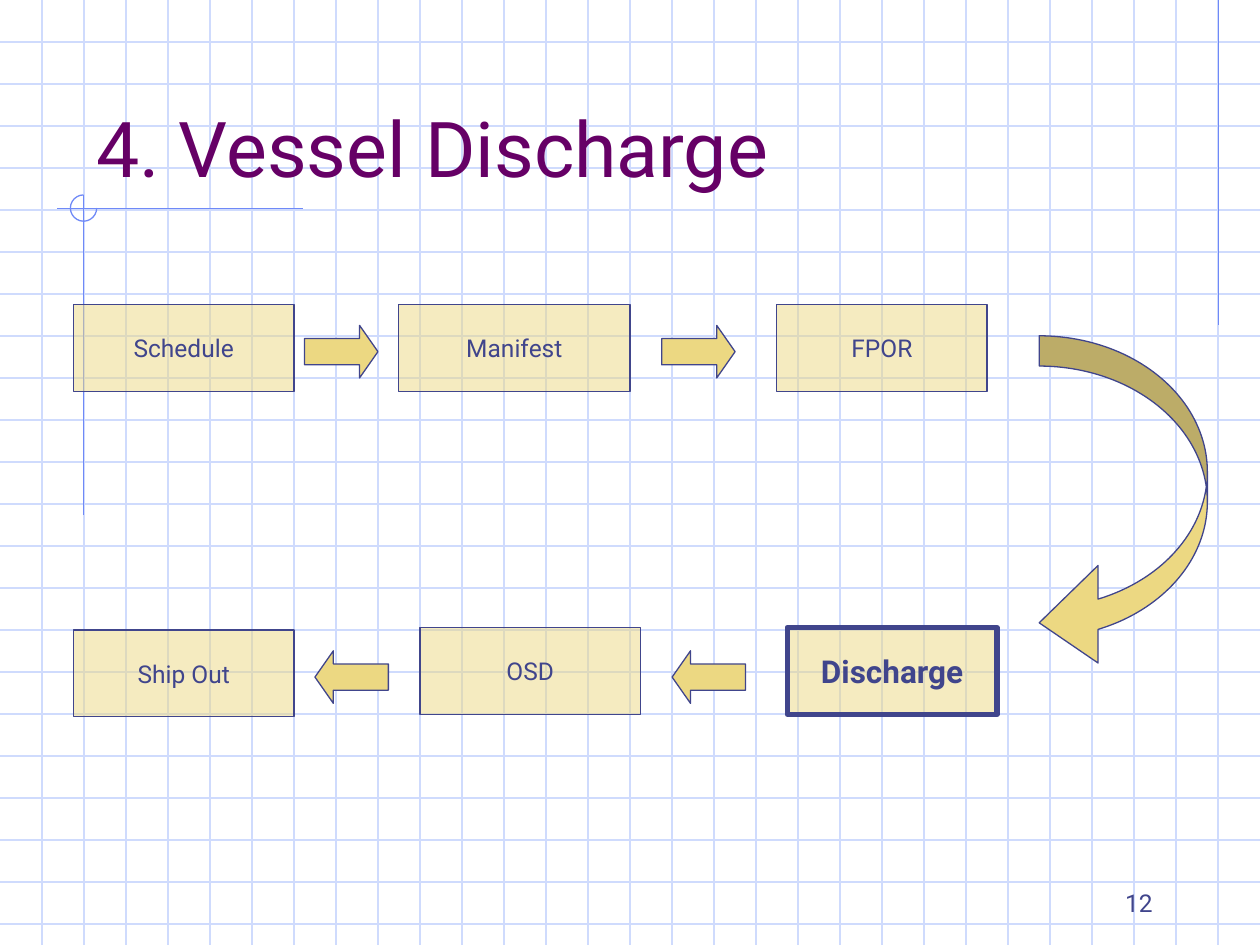
import math
from dataclasses import dataclass

import lxml.etree
import pptx
import pptx.dml.color
import pptx.enum.shapes
import pptx.enum.text
import pptx.oxml.ns
import pptx.util

Cm = pptx.util.Cm
Pt = pptx.util.Pt
SHAPE = pptx.enum.shapes.MSO_SHAPE
ALIGN = pptx.enum.text.PP_ALIGN
ANCHOR = pptx.enum.text.MSO_ANCHOR
qn = pptx.oxml.ns.qn


@dataclass(frozen=True)
class Theme:
    font: str = "Roboto"
    title_color: str = "660066"
    ink: str = "40458C"
    sand: str = "ECD882"
    grid: str = "CFDBFD"
    accent: str = "6F89F7"
    title_size: int = 44
    strong_size: int = 18
    body_size: int = 14
    thin: float = 0.75
    thick: float = 3


def rgb(value):
    return pptx.dml.color.RGBColor.from_string(value)


def write_text(shape, text, *, font, size, color, bold=False,
               align=ALIGN.LEFT, anchor=ANCHOR.MIDDLE, wrap=True):
    frame = shape.text_frame
    frame.word_wrap = wrap
    frame.vertical_anchor = anchor
    paragraph = frame.paragraphs[0]
    paragraph.alignment = align
    run = paragraph.add_run()
    run.text = text
    run.font.name = font
    run.font.size = Pt(size)
    run.font.bold = bold
    run.font.color.rgb = rgb(color)


class SlideBuilder:
    """Holds the theme and the current slide; all lengths are centimetres."""

    def __init__(self, slide, theme):
        self.shapes = slide.shapes
        self.theme = theme

    def line(self, x1, y1, x2, y2, color):
        connector = self.shapes.add_connector(
            pptx.enum.shapes.MSO_CONNECTOR.STRAIGHT, Cm(x1), Cm(y1), Cm(x2), Cm(y2))
        connector.line.color.rgb = rgb(color)
        connector.line.width = Pt(self.theme.thin)
        lxml.etree.SubElement(connector.element.spPr, qn("a:effectLst"))

    def preset(self, kind, left, top, width, height, adjustments=(), *,
               fill=None, line=None, line_width=None, opacity=None):
        shape = self.shapes.add_shape(kind, Cm(left), Cm(top), Cm(width), Cm(height))
        for index, value in enumerate(adjustments):
            shape.adjustments[index] = value
        shape.shadow.inherit = False
        if fill:
            shape.fill.solid()
            shape.fill.fore_color.rgb = rgb(fill)
        else:
            shape.fill.background()
        if opacity:
            color = shape.element.spPr.find(qn("a:solidFill")).find(qn("a:srgbClr"))
            lxml.etree.SubElement(color, qn("a:alpha"), val=str(opacity * 1000))
        shape.line.color.rgb = rgb(line or self.theme.ink)
        shape.line.width = Pt(line_width or self.theme.thin)
        return shape

    def step(self, text, left, top, width, current=False):
        theme = self.theme
        shape = self.preset(SHAPE.FLOWCHART_PROCESS, left, top, width, 1.75,
                            fill=theme.sand, opacity=50,
                            line_width=theme.thick if current else theme.thin)
        write_text(shape, text, font=theme.font, color=theme.ink, bold=current,
                   size=theme.strong_size if current else theme.body_size,
                   align=ALIGN.CENTER, wrap=False)

    def arrow(self, kind, left, top):
        self.preset(kind, left, top, 1.48, 1.06, (0.5, 0.35), fill=self.theme.sand)

    def turn_arrow(self, left, top, width, height):
        self.preset(SHAPE.CURVED_LEFT_ARROW, left, top, width, height,
                    (0.18, 0.58, 0.35), fill=self.theme.sand)

    def ring(self, left, top, size):
        # Three quarters of a circle, clockwise from 0 to 270 degrees
        self.preset(SHAPE.ARC, left, top, size, size, (0, 162), line=self.theme.accent)

    def text(self, text, left, top, width, height, **text_format):
        box = self.shapes.add_textbox(Cm(left), Cm(top), Cm(width), Cm(height))
        write_text(box, text, font=self.theme.font, anchor=ANCHOR.BOTTOM, **text_format)


def add_background(builder, width, height):
    theme = builder.theme
    columns = 30
    pitch = width / columns
    for row in range(1, math.ceil(height / pitch)):
        builder.line(0, row * pitch, width, row * pitch, theme.grid)
    for column in range(1, columns):
        builder.line(column * pitch, 0, column * pitch, height, theme.grid)
    builder.line(24.56, 0, 24.56, 6.56, theme.accent)
    builder.line(6.1, 4.2, 1.15, 4.2, theme.accent)
    builder.line(1.69, 3.94, 1.69, 10.39, theme.accent)
    builder.ring(1.42, 3.93, 0.53)


def main():
    presentation = pptx.Presentation()
    width, height = 25.4, 19.05
    presentation.slide_width, presentation.slide_height = Cm(width), Cm(height)
    slide = presentation.slides.add_slide(presentation.slide_layouts[6])
    theme = Theme()
    builder = SlideBuilder(slide, theme)

    add_background(builder, width, height)

    # Title
    builder.text("4. Vessel Discharge", 1.69, 0.83, 21.59, 3.18,
                 size=theme.title_size, color=theme.title_color)

    # Process steps
    for text, left, top, step_width in (
            ("Schedule", 1.48, 6.14, 4.45),
            ("Manifest", 8.04, 6.14, 4.66),
            ("FPOR", 15.66, 6.14, 4.24),
            ("Discharge", 15.87, 12.65, 4.23),
            ("OSD", 8.47, 12.65, 4.44),
            ("Ship Out", 1.48, 12.7, 4.45)):
        builder.step(text, left, top, step_width, current=text == "Discharge")

    # Flow arrows
    for kind, top, lefts in ((SHAPE.RIGHT_ARROW, 6.56, (6.14, 13.34)),
                             (SHAPE.LEFT_ARROW, 13.12, (13.55, 6.35))):
        for left in lefts:
            builder.arrow(kind, left, top)
    builder.turn_arrow(20.95, 6.77, 3.39, 6.77)

    # Page number
    builder.text("12", 18.2, 17.34, 5.29, 1.27, size=theme.body_size,
                 color=theme.ink, align=ALIGN.RIGHT)

    presentation.save("out.pptx")


if __name__ == "__main__":
    main()
